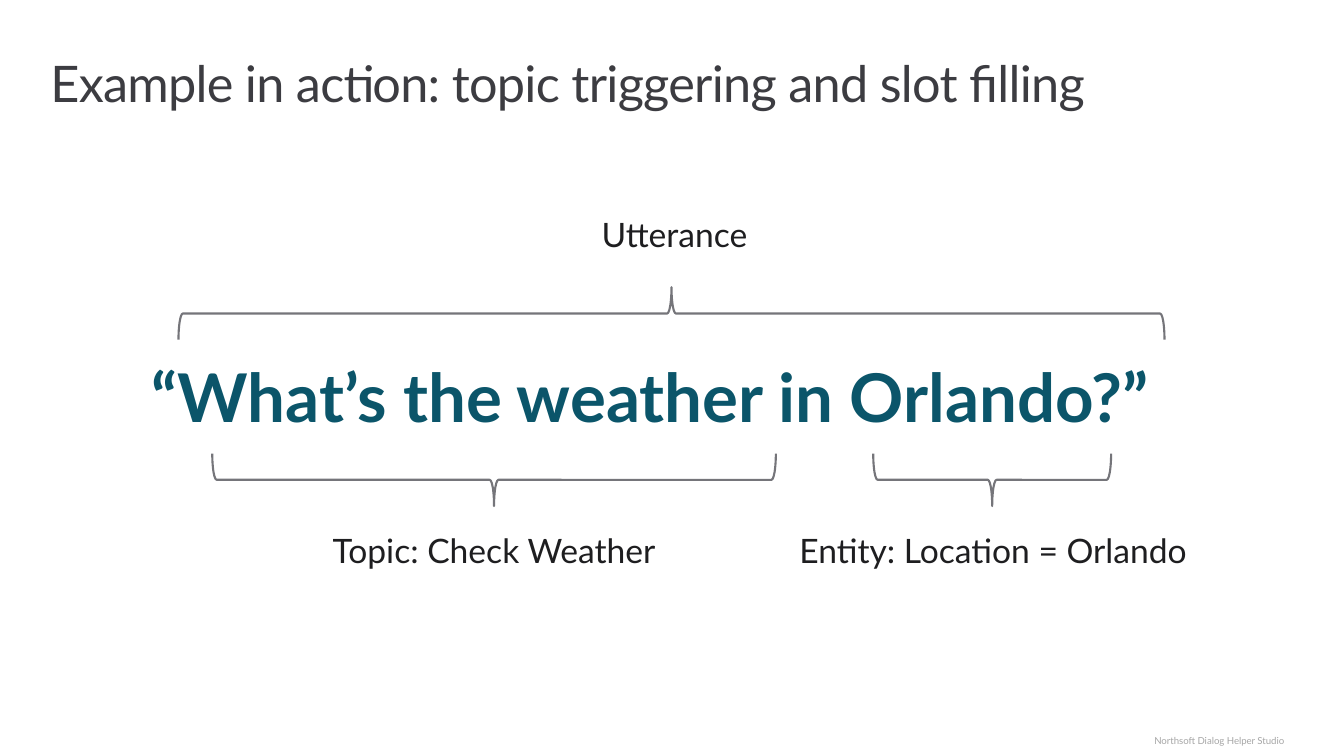
import pptx
import pptx.util
import pptx.dml.color
import pptx.enum.shapes
import pptx.enum.text
from dataclasses import dataclass

Inches, Pt = pptx.util.Inches, pptx.util.Pt
RGB = pptx.dml.color.RGBColor.from_string
ALIGN = pptx.enum.text.PP_ALIGN
ANCHOR = pptx.enum.text.MSO_ANCHOR


@dataclass(frozen=True)
class Theme:
    font: str = "Lato"
    title: str = "3C3C41"
    quote: str = "0B556A"
    label: str = "1E1E20"
    brace: str = "75757A"
    footer: str = "A6A6A6"
    title_size: float = 36
    quote_size: float = 48
    label_size: float = 24
    footer_size: float = 6.9
    brace_width: float = 1.5


theme = Theme()


def add_text(text, left, top, width, height, size, color, align=ALIGN.CENTER):
    """Add a one-paragraph text box without margins and return its paragraph."""
    box = slide.shapes.add_textbox(Inches(left), Inches(top), Inches(width), Inches(height))
    tf = box.text_frame
    tf.word_wrap = True
    tf.margin_left = tf.margin_right = tf.margin_top = tf.margin_bottom = 0
    tf.vertical_anchor = ANCHOR.TOP
    p = tf.paragraphs[0]
    p.text = text
    p.alignment = align
    font = p.runs[0].font
    font.name, font.size = theme.font, Pt(size)
    font.color.rgb = RGB(color)
    return p


prs = pptx.Presentation()
prs.slide_width, prs.slide_height = Inches(13.33), Inches(7.5)
slide = prs.slides.add_slide(prs.slide_layouts[6])

add_text("Northsoft Dialog Helper Studio", 8.74, 7.29, 4, 0.12,
         theme.footer_size, theme.footer, ALIGN.RIGHT)

title = add_text("Example in action: topic triggering and slot filling", 0.5, 0.68, 12.36, 0.44,
                 theme.title_size, theme.title, ALIGN.LEFT)
title.line_spacing = Pt(31.4)
title.runs[0].font._element.set("spc", "-50")

quote = add_text("“What’s the weather in Orlando?”", 1.1, 3.52, 10.7, 0.81,
                 theme.quote_size, theme.quote)
quote.runs[0].font.bold = True

# label, label centre x, label top, brace centre x, brace centre y, brace span, rotation
parts = [
    ("Utterance", 6.69, 2.12, 6.66, 3.11, 9.78, 270),
    ("Topic: Check Weather", 4.9, 5.26, 4.9, 4.76, 5.59, 90),
    ("Entity: Location = Orlando", 9.85, 5.26, 9.84, 4.76, 2.36, 90),
]
brace_depth, label_width = 0.52, 3.86
for label, label_x, label_top, brace_x, brace_y, span, rotation in parts:
    add_text(label, label_x - label_width / 2, label_top, label_width, 0.4,
             theme.label_size, theme.label)
    brace = slide.shapes.add_shape(
        pptx.enum.shapes.MSO_SHAPE.RIGHT_BRACE,
        Inches(brace_x - brace_depth / 2), Inches(brace_y - span / 2),
        Inches(brace_depth), Inches(span))
    brace.rotation = rotation
    brace.shadow.inherit = False
    brace.fill.background()
    brace.line.color.rgb = RGB(theme.brace)
    brace.line.width = Pt(theme.brace_width)

prs.save("out.pptx")
